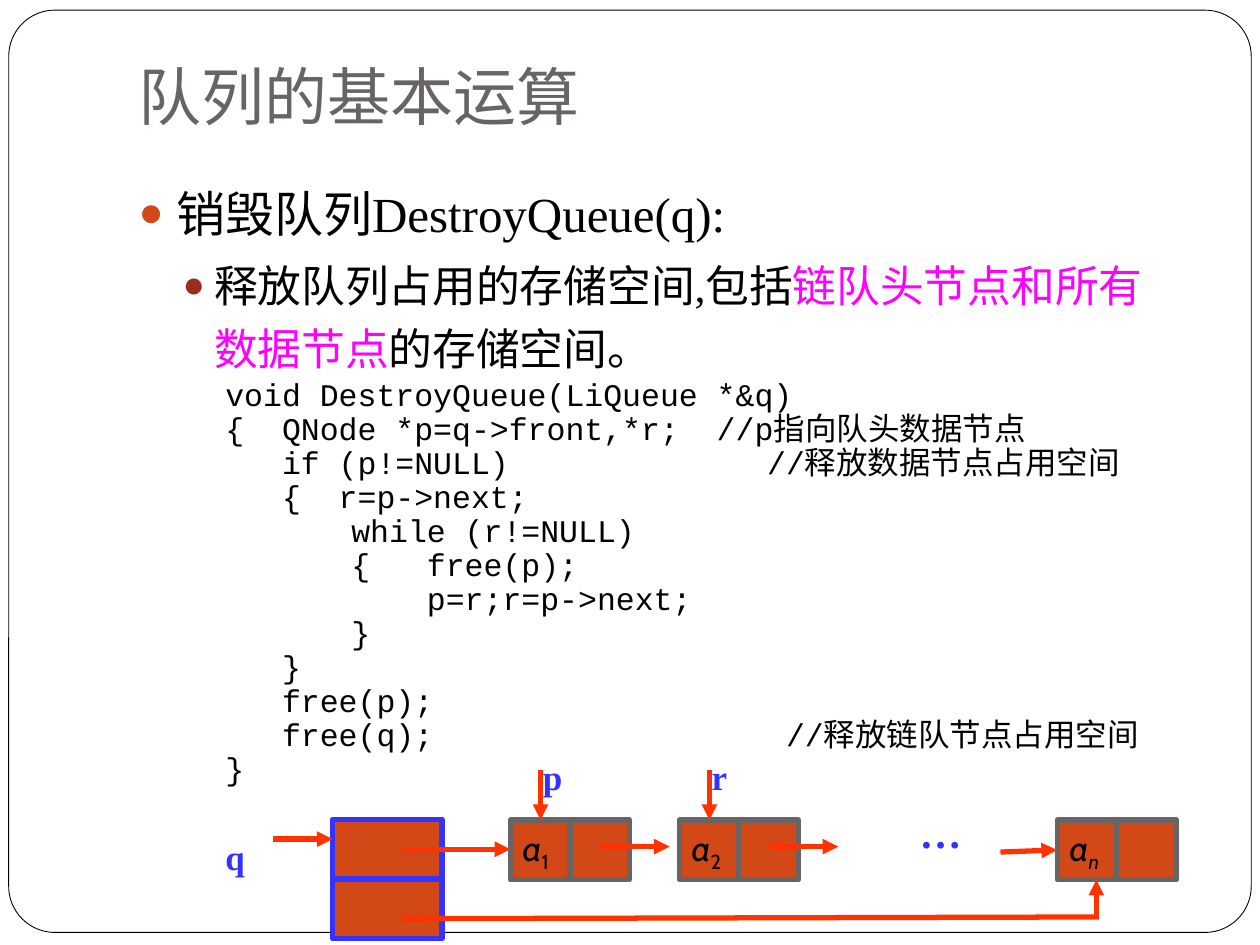
"""Builds the slide on destroying a linked queue, with its code and node diagram."""
from dataclasses import dataclass
from lxml import etree
from pptx import Presentation
from pptx.dml.color import RGBColor
from pptx.enum import shapes as kinds, text as styles
from pptx.oxml.ns import qn
from pptx.util import Pt


@dataclass(frozen=True)
class Theme:
    heading: str = "Lato"
    serif: str = "Times New Roman"
    mono: str = "Courier New"
    label: str = "Cabin"
    title_size: int = 36
    topic_size: int = 28
    detail_size: int = 25
    code_size: int = 18
    label_size: int = 20
    dots_size: int = 24
    black: str = "000000"
    white: str = "FFFFFF"
    grey: str = "696464"
    orange: str = "D34817"
    brick: str = "9B2D1F"
    magenta: str = "FF00FF"
    blue: str = "3333FF"
    red: str = "FF3300"


THEME = Theme()

TITLE = "队列的基本运算"
BODY = [
    dict(runs=[("销毁队列DestroyQueue(q):", THEME.black)], size=THEME.topic_size,
         margin=21.6, hanging=21.6, before=0, bullet=THEME.orange),
    dict(runs=[("释放队列占用的存储空间,包括", THEME.black),
               ("链队头节点和所有数据节点", THEME.magenta),
               ("的存储空间。", THEME.black)], size=THEME.detail_size,
         margin=43.2, hanging=18, before=3.7, bullet=THEME.brick),
]
CODE = """void DestroyQueue(LiQueue *&q)
{  QNode *p=q->front,*r;  //p指向队头数据节点
   if (p!=NULL)\t\t  //释放数据节点占用空间
   {  r=p->next;
\twhile (r!=NULL)
\t{   free(p);
\t    p=r;r=p->next;
\t}
   }
   free(p);
   free(q);\t\t\t   //释放链队节点占用空间
}"""
NODES = [("1", False, 291.6, "p"), ("2", False, 388.1, "r"), ("n", True, 604.1, None)]

CELL = 34.1
NODE_TOP = 468.6
HEAD_LEFT, HEAD_TOP, HEAD_WIDTH = 190.1, 468.2, 62.6
LINK_Y = 483.8
REAR_Y = 524.6
CENTRE_X = HEAD_LEFT + 39.6


def rgb(value):
    return RGBColor.from_string(value)


def style(font, name, size, color, bold=None, italic=None):
    font.name, font.size, font.bold, font.italic = name, Pt(size), bold, italic
    font.color.rgb = rgb(color)


def add_child(parent, tag, **attributes):
    return etree.SubElement(parent, qn(tag), attributes)


def add_bullet(paragraph, color, margin, hanging):
    properties = paragraph._p.get_or_add_pPr()
    properties.set("marL", str(Pt(margin)))
    properties.set("indent", str(-Pt(hanging)))
    add_child(add_child(properties, "a:buClr"), "a:srgbClr", val=color)
    add_child(properties, "a:buSzPct", val="85000")
    add_child(properties, "a:buChar", char="●")


def add_tabs(paragraph):
    stops = add_child(paragraph._p.get_or_add_pPr(), "a:tabLst")
    for inch in range(1, 8):
        add_child(stops, "a:tab", pos=str(Pt(72 * inch)), algn="l")


def place(shape, left, top, width, height):
    shape.left, shape.top, shape.width, shape.height = map(Pt, (left, top, width, height))


def add_box(slide, kind, bounds, fill, line, weight):
    box = slide.shapes.add_shape(kind, *map(Pt, bounds))
    box.shadow.inherit = False
    box.fill.solid()
    box.fill.fore_color.rgb = rgb(fill)
    box.line.color.rgb = rgb(line)
    box.line.width = Pt(weight)
    return box


def add_cell(slide, bounds, line):
    return add_box(slide, kinds.MSO_SHAPE.RECTANGLE, bounds, THEME.orange, line, 3)


def add_link(slide, start, end, arrow=True):
    link = slide.shapes.add_connector(kinds.MSO_CONNECTOR.STRAIGHT, *map(Pt, start + end))
    link.line.color.rgb = rgb(THEME.red)
    link.line.width = Pt(3)
    if arrow:
        add_child(link.line._get_or_add_ln(), "a:tailEnd", type="triangle")
    add_child(link._element.spPr, "a:effectLst")


def add_text(slide, bounds, lines, font, size, color, bold=None, spacing=None):
    frame = slide.shapes.add_textbox(*map(Pt, bounds)).text_frame
    frame.word_wrap = True
    frame.text = lines
    for paragraph in frame.paragraphs:
        if "\t" in paragraph.text:
            add_tabs(paragraph)
        paragraph.line_spacing = spacing
        style(paragraph.font, font, size, color, bold)


def add_pointer_name(slide, name, left, top, width=39.6):
    add_text(slide, (left, top, width, 31.7), name, THEME.serif, THEME.label_size,
             THEME.blue, bold=True)


def add_node(slide, index, italic, left, pointer):
    data, _ = [add_cell(slide, (left + column * CELL, NODE_TOP, CELL, CELL), THEME.grey)
               for column in range(2)]
    frame = data.text_frame
    frame.word_wrap = False
    frame.vertical_anchor = styles.MSO_ANCHOR.MIDDLE
    paragraph = frame.paragraphs[0]
    paragraph.alignment = styles.PP_ALIGN.LEFT
    for content, slanted in (("a", True), (index, italic)):
        run = paragraph.add_run()
        run.text = content
        style(run.font, THEME.label, THEME.label_size, THEME.black, italic=slanted)
    run.font._element.set("baseline", "-25000")
    if pointer:
        tip = left + 17.3
        add_link(slide, (left + 51.2, LINK_Y), (left + 91, LINK_Y))
        add_link(slide, (tip, 440), (tip, NODE_TOP))
        add_pointer_name(slide, pointer, left + 11.5, 428.4)


def fill_placeholders(slide):
    title, body = slide.shapes.title, slide.placeholders[1]
    place(title, 72, 15.1, 612, 68.4)
    title.text_frame.text = TITLE
    title.text_frame.auto_size = styles.MSO_AUTO_SIZE.NONE
    title.text_frame.vertical_anchor = styles.MSO_ANCHOR.BOTTOM
    title.text_frame.margin_bottom = Pt(7.2)
    heading = title.text_frame.paragraphs[0]
    heading.alignment = styles.PP_ALIGN.LEFT
    style(heading.font, THEME.heading, THEME.title_size, THEME.grey)

    place(body, 72, 94.3, 612, 385.2)
    frame = body.text_frame
    frame.auto_size = styles.MSO_AUTO_SIZE.NONE
    for level, item in enumerate(BODY):
        paragraph = frame.add_paragraph() if level else frame.paragraphs[0]
        paragraph.level = level
        add_bullet(paragraph, item["bullet"], item["margin"], item["hanging"])
        paragraph.line_spacing = 1.2
        paragraph.space_before = Pt(item["before"])
        for content, color in item["runs"]:
            run = paragraph.add_run()
            run.text = content
            style(run.font, THEME.serif, item["size"], color)


def draw_queue(slide):
    for row in range(2):
        add_cell(slide, (HEAD_LEFT, HEAD_TOP + row * CELL, HEAD_WIDTH, CELL), THEME.blue)
    for node in NODES:
        add_node(slide, *node)
    first, last = NODES[0][2], NODES[-1][2]
    rear_x = last + 22.4
    add_link(slide, (156.2, 479.5), (HEAD_LEFT, 479.5))
    add_link(slide, (CENTRE_X, 485.3), (first, 485.3))
    add_link(slide, (last - 32.4, 486.9), (last, 485.7))
    add_link(slide, (CENTRE_X, REAR_Y + 0.4), (rear_x + 1.4, REAR_Y - 0.6), arrow=False)
    add_link(slide, (rear_x, REAR_Y), (rear_x, NODE_TOP + CELL))
    add_pointer_name(slide, "q", 121.7, 473.8, 33.8)
    add_text(slide, (518.4, 457.2, 62.6, 36), "…", THEME.serif, THEME.dots_size,
             THEME.blue, bold=True)


def main():
    deck = Presentation()
    deck.slide_width, deck.slide_height = Pt(720), Pt(540)
    slide = deck.slides.add_slide(deck.slide_layouts[1])
    border = add_box(slide, kinds.MSO_SHAPE.ROUNDED_RECTANGLE, (5, 5.8, 710, 527),
                     THEME.white, THEME.black, 0.5)
    border.adjustments[0] = 0.05
    slide.shapes.title.element.addprevious(border.element)
    fill_placeholders(slide)
    add_text(slide, (121.7, 213.1, 566.6, 240.5), CODE, THEME.mono, THEME.code_size,
             THEME.black, spacing=0.9)
    draw_queue(slide)
    deck.save("out.pptx")


if __name__ == "__main__":
    main()
